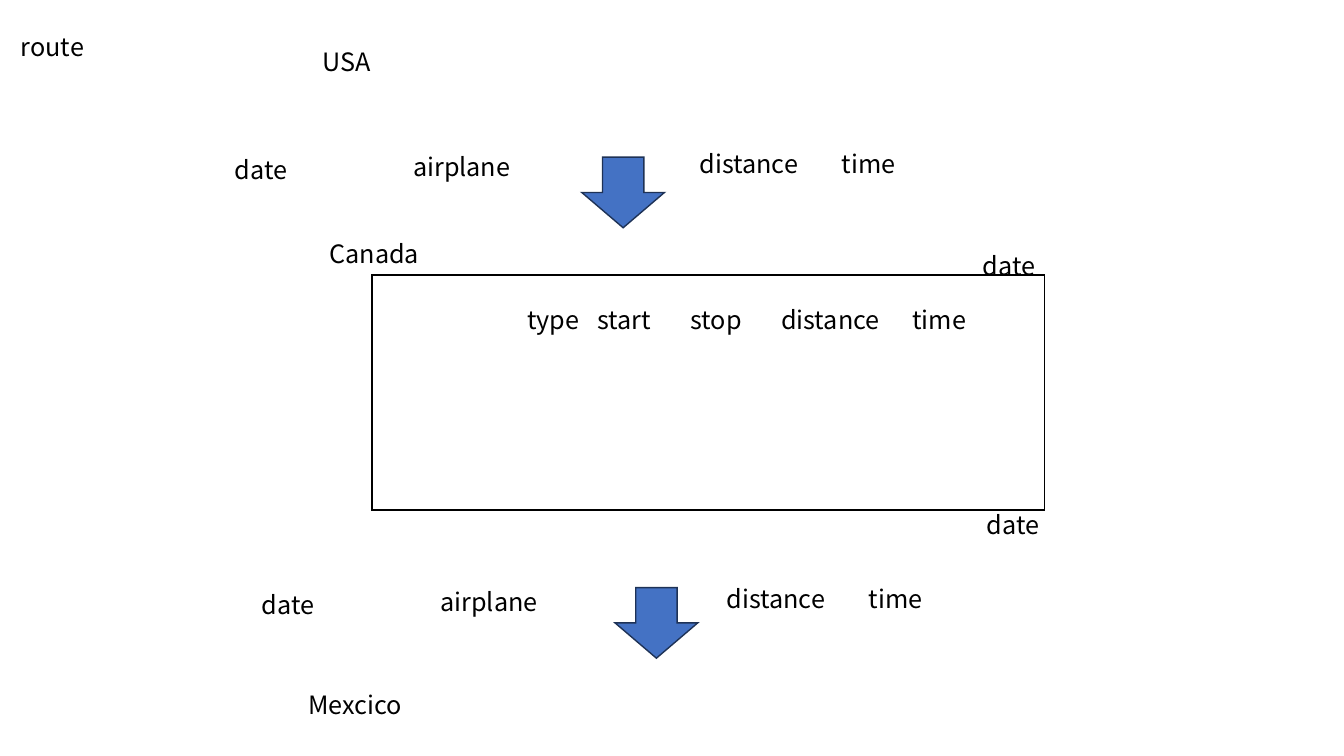
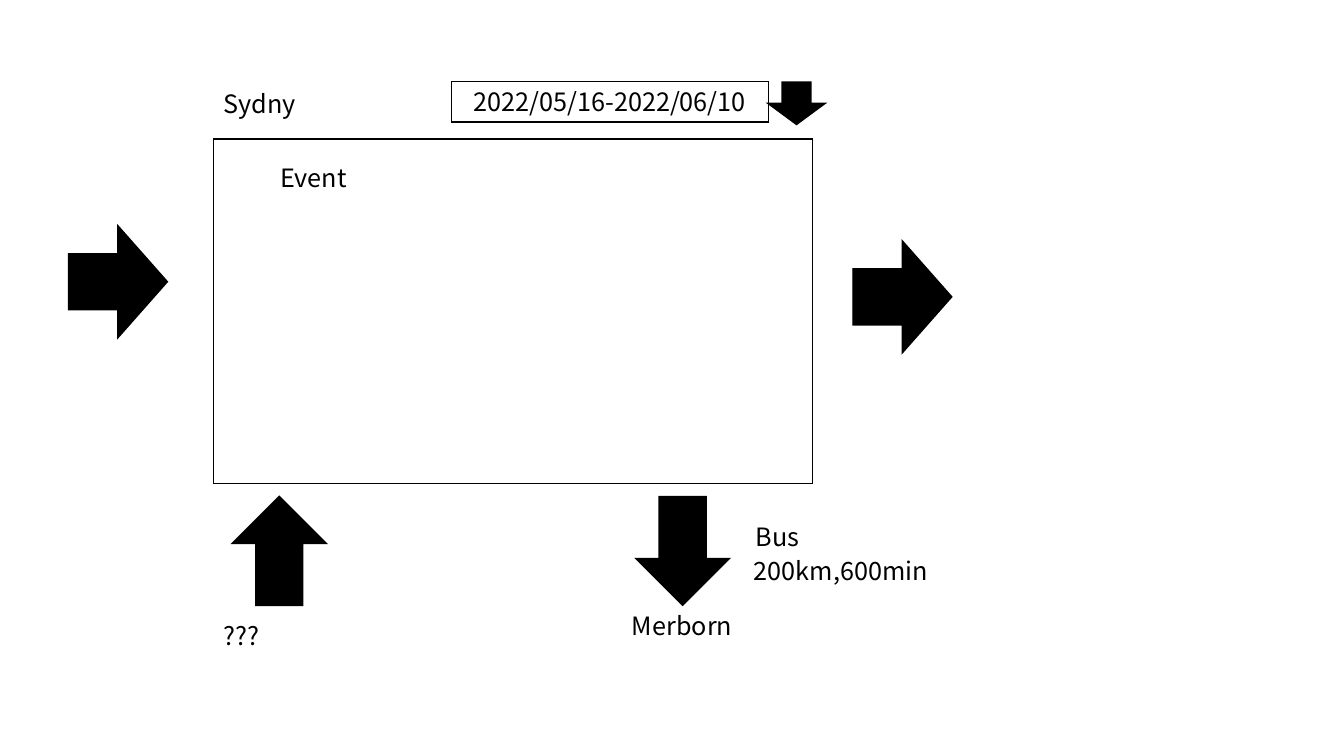
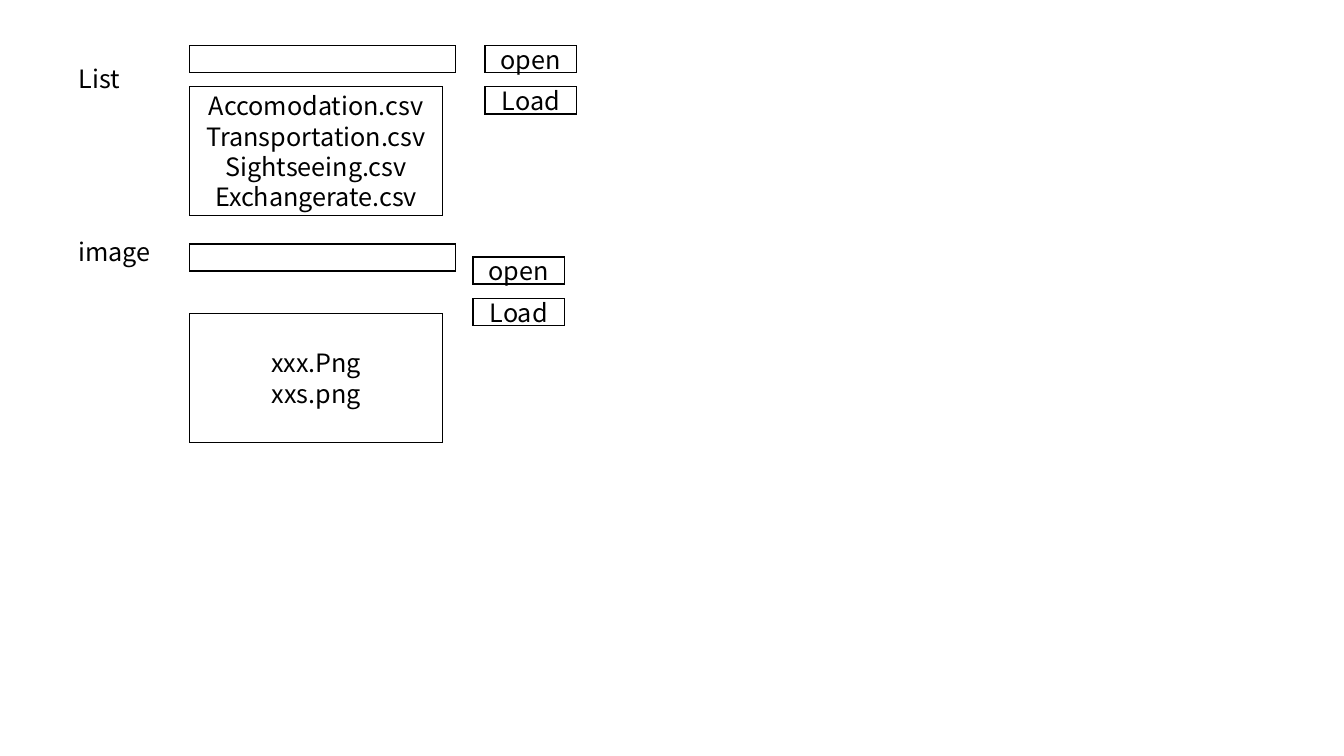
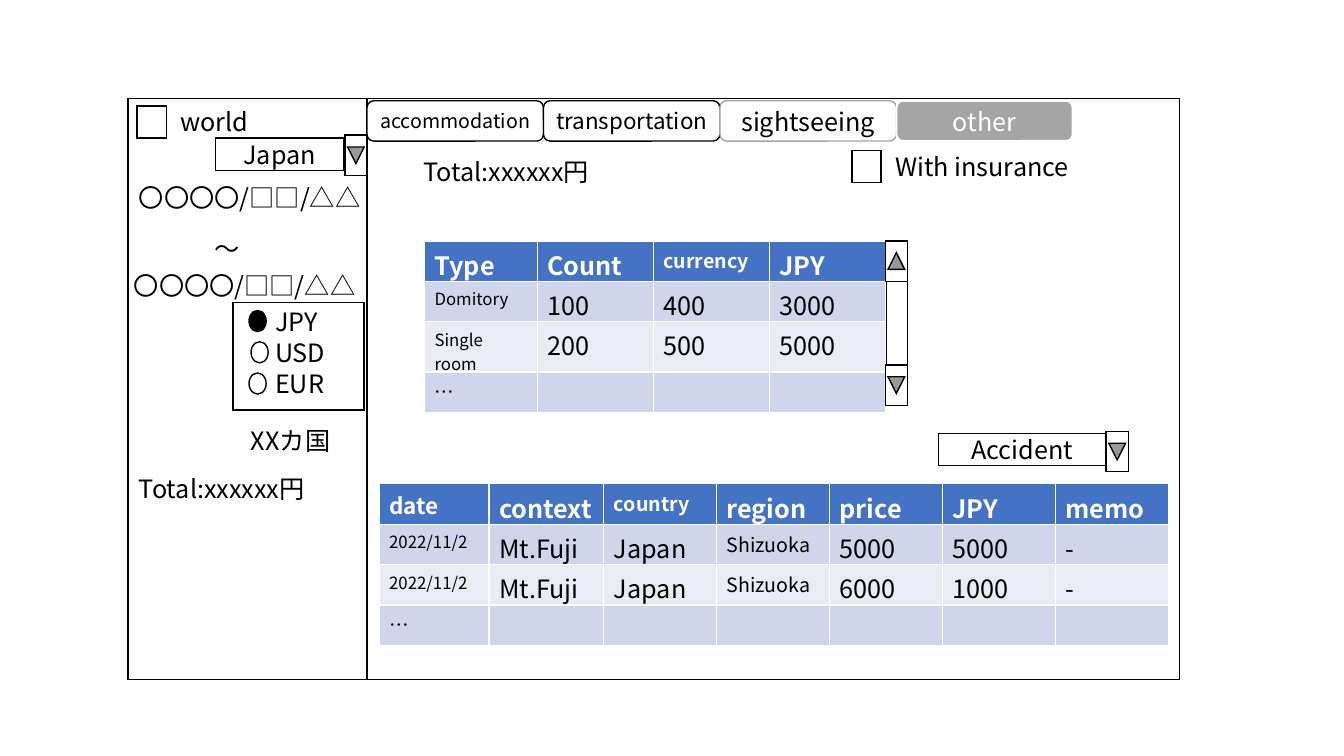
from lxml.etree import SubElement
from pptx import Presentation
from pptx.dml.color import RGBColor
from pptx.enum.shapes import MSO_SHAPE
from pptx.enum.text import MSO_ANCHOR, MSO_AUTO_SIZE, PP_ALIGN
from pptx.oxml.ns import qn
from pptx.util import Inches, Pt

FONT = "Noto Sans CJK JP"
BLACK, WHITE, GREY = "000000", "FFFFFF", "A5A5A5"
BLUE, NAVY = "4472C4", "1E3256"
BANDS = ["CFD5EA", "E9EBF5"]
colour = RGBColor.from_string


def write_text(text_frame, text, size=18, ink=BLACK, bold=False, align=PP_ALIGN.LEFT):
    text_frame.text = text
    for paragraph in text_frame.paragraphs:
        paragraph.alignment = align
        for run in paragraph.runs:
            run.font.name = FONT
            run.font.size = Pt(size)
            run.font.bold = bold
            run.font.color.rgb = colour(ink)
            east_asian = run.font._element.makeelement(qn("a:ea"), {"typeface": FONT})
            run.font._element.find(qn("a:latin")).addnext(east_asian)


def add_item(slide, kind, left, top, width, height, text="", size=18, ink=BLACK,
             fill=WHITE, line=BLACK, line_width=1, rotation=0):
    """Add a preset shape, or a plain label when kind is None."""
    place = [Inches(length) for length in (left, top, width, height)]
    if kind is None:
        label = slide.shapes.add_textbox(*place)
        label.text_frame.word_wrap = True
        label.text_frame.auto_size = MSO_AUTO_SIZE.SHAPE_TO_FIT_TEXT
        write_text(label.text_frame, text, size, ink)
        return
    shape = slide.shapes.add_shape(kind, *place)
    shape.shadow.inherit = False
    shape.rotation = rotation
    shape.fill.solid()
    shape.fill.fore_color.rgb = colour(fill)
    shape.line.color.rgb = colour(line)
    shape.line.width = Pt(line_width)
    SubElement(shape.get_or_add_ln(), qn("a:miter"), lim="800000")
    if text:
        shape.text_frame.vertical_anchor = MSO_ANCHOR.MIDDLE
        write_text(shape.text_frame, text, size, ink, align=PP_ALIGN.CENTER)


RECTANGLE, ARROW = MSO_SHAPE.RECTANGLE, MSO_SHAPE.RIGHT_ARROW
BUTTON = MSO_SHAPE.ACTION_BUTTON_BACK_OR_PREVIOUS

presentation = Presentation()
presentation.slide_width = Inches(13.33)
presentation.slide_height = Inches(7.5)
blank = presentation.slide_layouts[6]
route, city, files, budget = [presentation.slides.add_slide(blank) for _ in range(4)]

# Route: country box with its column names
add_item(route, RECTANGLE, 3.69, 2.73, 6.67, 2.33)
for left, text in [(5.13, "type"), (5.83, "start"), (6.75, "stop"),
                   (7.65, "distance"), (8.95, "time")]:
    add_item(route, None, left, 2.97, 1.4, 0.4, text)
for left, top, text in [(3.17, 2.32, "Canada"), (3.1, 0.41, "USA"),
                        (2.96, 6.79, "Mexcico"), (0.11, 0.26, "route")]:
    add_item(route, None, left, top, 2.17, 0.4, text)
for left, top in [(9.65, 2.43), (9.69, 5)]:
    add_item(route, None, left, top, 1.27, 0.4, "date")

# Route: the two flights
for left, top, arrow_left, arrow_top in [(2.23, 1.42, 5.83, 1.5), (2.5, 5.74, 6.16, 5.77)]:
    add_item(route, ARROW, arrow_left, arrow_top, 0.7, 0.82,
             fill=BLUE, line=NAVY, rotation=90)
    for across, down, text in [(0, 0.06, "date"), (1.77, 0.03, "airplane"),
                               (4.61, 0, "distance"), (6.02, 0, "time")]:
        add_item(route, None, left + across, top + down, 1.27, 0.4, text)

# City: event box, period and arrows
add_item(city, RECTANGLE, 2.12, 1.38, 5.94, 3.42)
add_item(city, RECTANGLE, 4.48, 0.81, 3.14, 0.4, "2022/05/16-2022/06/10")
for left, top, width, height, rotation in [
        (7.69, 0.74, 0.42, 0.57, 90), (0.68, 2.24, 0.98, 1.11, 0),
        (8.46, 2.39, 0.98, 1.11, 0), (2.23, 5, 1.08, 0.93, 270),
        (6.23, 5, 1.08, 0.93, 90)]:
    add_item(city, ARROW, left, top, width, height, fill=BLACK, rotation=rotation)
for left, top, text in [(2.12, 0.83, "Sydny"), (2.68, 1.56, "Event"),
                        (6.17, 6.01, "Merborn"), (7.38, 5.46, "200km,600min"),
                        (7.4, 5.12, "Bus"), (2.12, 6.11, "???")]:
    add_item(city, None, left, top, 2.07, 0.4, text)

# Files: label, field, file list and buttons of each section
for title, title_top, field_top, list_top, names, button_left, button_top in [
        ("List", 0.58, 0.45, 0.86,
         "Accomodation.csv\nTransportation.csv\nSightseeing.csv\nExchangerate.csv",
         4.81, 0.45),
        ("image", 2.3, 2.42, 3.11, "xxx.Png\nxxs.png", 4.69, 2.55)]:
    add_item(files, None, 0.68, title_top, 1.5, 0.4, title)
    add_item(files, RECTANGLE, 1.88, list_top, 2.51, 1.28, names)
    add_item(files, RECTANGLE, 1.88, field_top, 2.64, 0.27)
    for index, text in enumerate(["open", "Load"]):
        add_item(files, RECTANGLE, button_left, button_top + index * 0.41, 0.91, 0.27, text)

# Budget: window, side panel and currency choice
for left, top, width, height in [(1.39, 0.98, 10.31, 5.76), (1.27, 0.98, 2.37, 5.76),
                                 (2.31, 3, 1.3, 1.07)]:
    add_item(budget, RECTANGLE, left, top, width, height)
for index, (left, text, fill) in enumerate([(2.47, "JPY", BLACK), (2.49, "USD", WHITE),
                                            (2.47, "EUR", WHITE)]):
    top = 2.99 + index * 0.31
    add_item(budget, MSO_SHAPE.OVAL, left, top + 0.09, 0.17, 0.21, fill=fill)
    add_item(budget, None, 2.63, top, 0.9, 0.4, text)

# Budget: tabs
for index, (text, size, ink, fill, line, line_width) in enumerate([
        ("accommodation", 14, BLACK, WHITE, BLACK, 1),
        ("transportation", 16, BLACK, WHITE, BLACK, 1),
        ("sightseeing", 18, BLACK, WHITE, GREY, 1),
        ("other", 18, WHITE, GREY, WHITE, 1.5)]):
    add_item(budget, MSO_SHAPE.ROUNDED_RECTANGLE, 3.64 + index * 1.75, 1, 1.75, 0.4,
             text, size, ink, fill, line, line_width)

# Budget: tables, with the text size of each column in the header and in the body
for left, top, widths, head_sizes, body_sizes, rows in [
        (3.76, 4.8, [1.09, 1.14] + [1.12] * 5,
         [16, 18, 14, 18, 18, 18, 18], [12, 18, 18, 14, 18, 18, 18],
         [["date", "context", "country", "region", "price", "JPY", "memo"],
          ["2022/11/2", "Mt.Fuji", "Japan", "Shizuoka", "5000", "5000", "-"],
          ["2022/11/2", "Mt.Fuji", "Japan", "Shizuoka", "6000", "1000", "-"],
          ["…"]]),
        (4.21, 2.39, [1.12] + [1.15] * 3, [18, 18, 14, 18], [12, 18, 18, 18],
         [["Type", "Count", "currency", "JPY"],
          ["Domitory", "100", "400", "3000"],
          ["Single room", "200", "500", "5000"],
          ["…"]])]:
    frame = budget.shapes.add_table(len(rows), len(widths), Inches(left), Inches(top),
                                    Inches(sum(widths)), Inches(1.6))
    table = frame.table
    for column, width in zip(table.columns, widths):
        column.width = Inches(width)
    for row_index, texts in enumerate(rows):
        header = row_index == 0
        table.rows[row_index].height = Inches(0.4)
        for column_index in range(len(widths)):
            cell = table.cell(row_index, column_index)
            cell.fill.solid()
            cell.fill.fore_color.rgb = colour(BLUE if header else BANDS[(row_index - 1) % 2])
            if column_index < len(texts):
                text = texts[column_index]
                size = (head_sizes if header else body_sizes)[column_index]
                write_text(cell.text_frame, text, 14 if text == "…" else size,
                           WHITE if header else BLACK, bold=header)
                # Leave the narrow header room for its longest word
                if header:
                    cell.margin_right = Inches(0.05)

# Budget: drop-down lists, scroll bar and check boxes
add_item(budget, RECTANGLE, 2.14, 1.37, 1.27, 0.32, "Japan")
add_item(budget, RECTANGLE, 9.31, 4.3, 1.66, 0.32, "Accident")
add_item(budget, RECTANGLE, 8.79, 2.73, 0.21, 1)
for left, top, rotation in [(3.33, 1.43, 270), (10.88, 4.37, 270),
                            (8.69, 2.48, 90), (8.69, 3.71, 270)]:
    add_item(budget, BUTTON, left, top, 0.4, 0.22, rotation=rotation)
for left, top in [(1.36, 1.05), (8.45, 1.49)]:
    add_item(budget, RECTANGLE, left, top, 0.29, 0.32)

# Budget: labels
for left, top, width, text in [
        (1.69, 1.01, 1.27, "world"), (8.78, 1.45, 2.37, "With insurance"),
        (1.28, 1.76, 2.86, "〇〇〇〇/□□/△△"), (2.03, 2.27, 0.5, "～"),
        (1.23, 2.63, 2.86, "〇〇〇〇/□□/△△"), (2.39, 4.17, 1.58, "XXカ国"),
        (1.28, 4.65, 2.02, "Total:xxxxxx円"), (4.1, 1.5, 2.02, "Total:xxxxxx円")]:
    add_item(budget, None, left, top, width, 0.4, text)

presentation.save("out.pptx")
